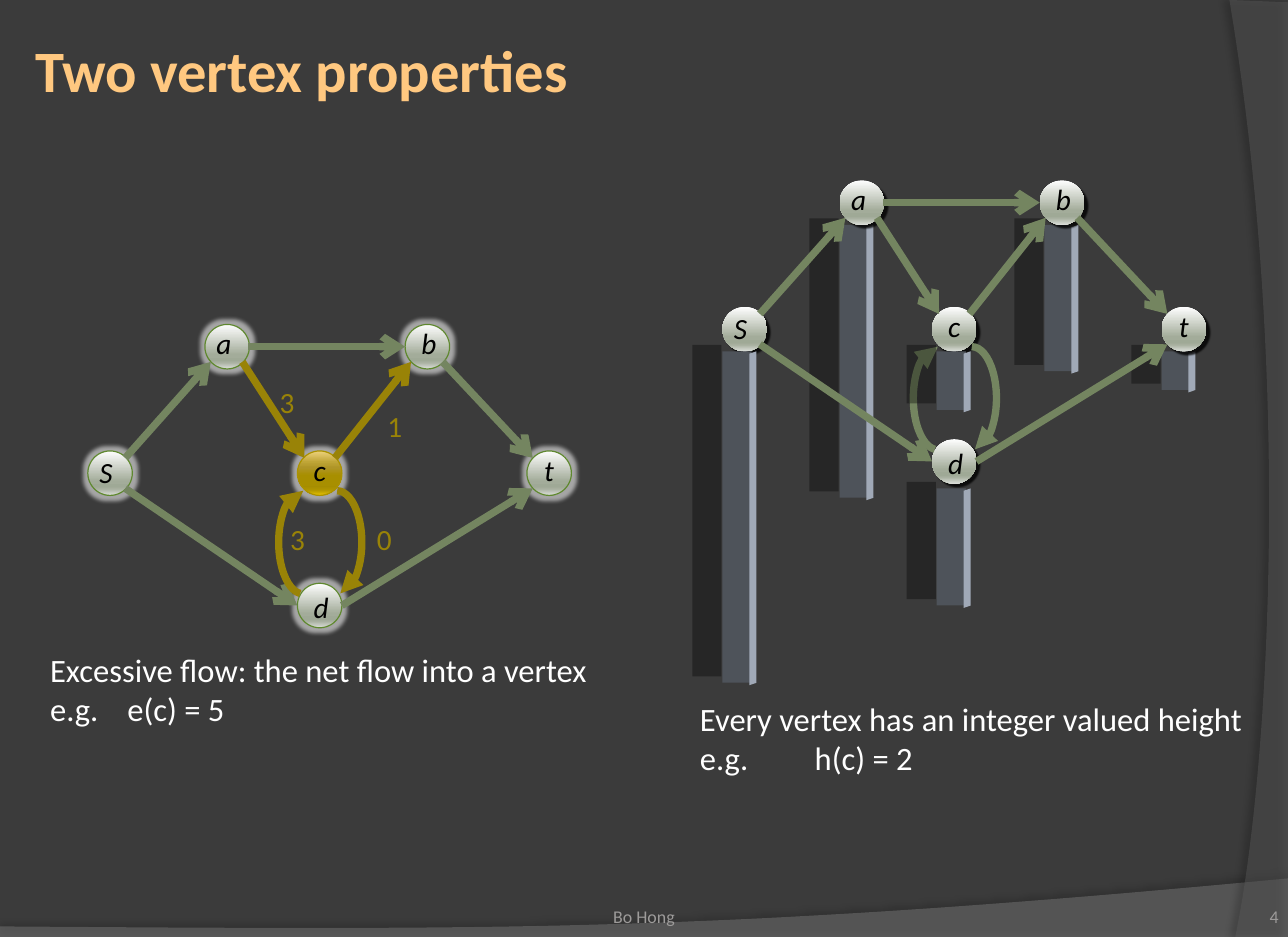
from lxml import etree
from pptx import Presentation
from pptx.dml.color import RGBColor
from pptx.enum.shapes import MSO_CONNECTOR, MSO_SHAPE
from pptx.enum.text import MSO_ANCHOR, PP_ALIGN
from pptx.oxml.ns import qn
from pptx.util import Inches, Pt

ELLIPSE, ARC, RECTANGLE = MSO_SHAPE.OVAL, MSO_SHAPE.ARC, MSO_SHAPE.RECTANGLE
STRAIGHT = MSO_CONNECTOR.STRAIGHT
LEFT, CENTER, RIGHT = PP_ALIGN.LEFT, PP_ALIGN.CENTER, PP_ALIGN.RIGHT
TOP, MIDDLE, BOTTOM = MSO_ANCHOR.TOP, MSO_ANCHOR.MIDDLE, MSO_ANCHOR.BOTTOM

BACKGROUND = RGBColor(0x3B, 0x3B, 0x3B)
WHITE = RGBColor(0xFF, 0xFF, 0xFF)
BLACK = RGBColor(0, 0, 0)
PEACH = RGBColor(0xFF, 0xC8, 0x80)
GRAY = RGBColor(0x9D, 0x9B, 0x9A)
GREEN = RGBColor(0x74, 0x85, 0x60)
GOLD = RGBColor(0x99, 0x83, 0x07)
RIM = RGBColor(0x5F, 0x88, 0x2F)
GOLD_RIM = RGBColor(0xAB, 0x92, 0x00)
BAR = RGBColor(0x4E, 0x53, 0x5A)
BAR_SIDE = RGBColor(0xA0, 0xA9, 0xB7)
SWEEP = RGBColor(0x7F, 0x7F, 0x7F)
SIDE_SWEEP = RGBColor(0x5E, 0x5E, 0x5E)

SILVER_STOPS = [(0, "FEFEFE"), (68, "A3AC9A"), (81, "9FA996"), (86, "A9B1A1"), (100, "DBDED9")]
GOLD_STOPS = [(0, "EED27E"), (25, "BFA536"), (38, "AF9527"), (55, "A88F00"),
              (80, "A68D00"), (88, "AF9500"), (100, "E6C100")]

# Vertex: circle left and top, label shift, height of its bar, shift of the bar
VERTICES = {
    "S": (0.75, 3.85, 0, -0.02, 2.83, 0, 0),
    "t": (4.5, 3.85, 0.05, -0.04, 0.33, 0, 0),
    "a": (1.75, 2.77, 0, -0.04, 2.33, 0, 0),
    "d": (2.54, 4.98, 0.04, 0, 1, 0.04, 0.04),
    "b": (3.46, 2.77, 0.04, -0.04, 1.25, 0.04, 0),
    "c": (2.54, 3.85, 0.04, -0.04, 0.5, 0.04, 0),
}
# Edge: start, end, touches vertex c
EDGES = [
    ((1.07, 3.91), (1.8, 3.09), False),
    ((2.07, 3.09), (2.6, 3.91), True),
    ((1.07, 4.17), (2.54, 5.17), False),
    ((3.78, 3.09), (4.55, 3.91), False),
    ((2.86, 3.91), (3.51, 3.09), True),
    ((2.92, 5.17), (4.55, 4.17), False),
    ((2.12, 2.96), (3.46, 2.96), False),
]
FLOWS = [("3", 2.29, 3.23), ("1", 3.21, 3.44), ("0", 3.12, 4.4), ("3", 2.38, 4.4)]
DIAMETER = 0.38
HEIGHT_SHIFT = (5.42, -1.23)


def curve(start, first, second, end, steps=40):
    """Points of a cubic curve after its start."""
    points = []
    for step in range(1, steps + 1):
        t = step / steps
        weights = ((1 - t) ** 3, 3 * t * (1 - t) ** 2, 3 * t * t * (1 - t), t ** 3)
        points.append(tuple(sum(w * p[axis] for w, p in zip(weights, (start, first, second, end)))
                            for axis in (0, 1)))
    return points


def add_xml(parent, tag, **attributes):
    return etree.SubElement(parent, qn(tag), {key: str(value) for key, value in attributes.items()})


class SlideBuilder:
    font = "Calibri"

    def __init__(self, page):
        self.page = page
        self.target = page.shapes

    def fill_text(self, frame, lines, size, color, align=LEFT, anchor=TOP, tab=None,
                  margins=None, wrap=False, **style):
        frame.word_wrap = wrap
        frame.vertical_anchor = anchor
        for side, margin in (margins or {}).items():
            setattr(frame, "margin_" + side, Inches(margin))
        for index, line in enumerate(lines):
            para = frame.paragraphs[0] if index == 0 else frame.add_paragraph()
            para.alignment = align
            if tab:
                stops = add_xml(para._p.get_or_add_pPr(), "a:tabLst")
                add_xml(stops, "a:tab", pos=Inches(tab), algn="l")
            span = para.add_run()
            span.text = line
            for name, value in {"name": self.font, "size": Pt(size), **style}.items():
                setattr(span.font, name, value)
            span.font.color.rgb = color

    def text(self, at, lines, size, color, **style):
        box = self.target.add_textbox(*map(Inches, at))
        self.fill_text(box.text_frame, lines, size, color, **style)

    def title(self, at, words):
        box = self.page.shapes.title
        for name, value in zip(("left", "top", "width", "height"), at):
            setattr(box, name, Inches(value))
        self.fill_text(box.text_frame, [words], 36, PEACH, anchor=MIDDLE, bold=True, wrap=True,
                       margins=dict.fromkeys(("left", "top", "right", "bottom"), 0.05))

    def effect(self, shape, tag, color, opacity, **attributes):
        shape.shadow.inherit = False
        effects = shape._element.spPr.find(qn("a:effectLst"))
        paint = add_xml(add_xml(effects, tag, **attributes), "a:srgbClr", val=color)
        add_xml(paint, "a:alpha", val=opacity * 1000)

    def shadow(self, shape, opacity, blur, distance, angle):
        self.effect(shape, "a:outerShdw", BLACK, opacity, blurRad=Pt(blur), dist=Pt(distance),
                    dir=angle * 60000, algn="ctr", rotWithShape=0)

    def outline(self, points, color, opacity=100):
        builder = self.target.build_freeform(*map(Inches, points[0]))
        builder.add_line_segments([tuple(map(Inches, point)) for point in points[1:]])
        shape = builder.convert_to_shape()
        shape.shadow.inherit = False
        shape.line.fill.background()
        shape.fill.solid()
        shape.fill.fore_color.rgb = color
        paint = shape._element.spPr.find(qn("a:solidFill"))[0]
        add_xml(paint, "a:alpha", val=opacity * 1000)
        return shape

    def vertex(self, name, left, top, label_x, label_y, stops, rim=None):
        circle = self.target.add_shape(ELLIPSE, *map(Inches, (left, top, DIAMETER, DIAMETER)))
        circle.fill.background()
        blank = circle._element.spPr.find(qn("a:noFill"))
        gradient = etree.Element(qn("a:gradFill"), rotWithShape="1")
        blank.getparent().replace(blank, gradient)
        stop_list = add_xml(gradient, "a:gsLst")
        for position, color in stops:
            add_xml(add_xml(stop_list, "a:gs", pos=position * 1000), "a:srgbClr", val=color)
        add_xml(gradient, "a:lin", ang=5400000, scaled=0)
        if rim:
            circle.line.color.rgb = rim
            circle.line.width = Pt(0.75)
            self.effect(circle, "a:glow", WHITE, 55, rad=Pt(5))
        else:
            circle.line.fill.background()
            self.shadow(circle, 80, 1, 3, 45)
        self.text((left + label_x, top + label_y, 0.33, 0.4), [name], 18, BLACK, italic=True)

    def stroke(self, shape, color, end, head):
        shape.line.color.rgb = color
        shape.line.width = Pt(4.5)
        add_xml(shape.line._get_or_add_ln(), end, type=head)

    def arrow(self, start, end, color):
        line = self.target.add_connector(STRAIGHT, *map(Inches, (*start, *end)))
        self.stroke(line, color, "a:tailEnd", "arrow")
        add_xml(line._element.spPr, "a:effectLst")

    def arc(self, left, top, color, flipped):
        bend = self.target.add_shape(ARC, *map(Inches, (left, top, 0.42, 0.88)))
        bend.shadow.inherit = False
        bend.adjustments[0], bend.adjustments[1] = 162, 51.932
        bend.fill.background()
        if flipped:
            bend._element.spPr.find(qn("a:xfrm")).set("flipH", "1")
        self.stroke(bend, color, "a:headEnd" if flipped else "a:tailEnd", "triangle")

    def bars(self, names, shift):
        for name in names:
            left, top, _, _, height, bar_x, bar_y = VERTICES[name]
            x, y = left + shift[0] + bar_x, top + shift[1] + DIAMETER + bar_y
            bar = self.target.add_shape(RECTANGLE, *map(Inches, (x, y, 0.25, height)))
            bar.fill.solid()
            bar.fill.fore_color.rgb = BAR
            bar.line.fill.background()
            self.shadow(bar, 35, 0, 19, 192)
            self.outline([(x + 0.23, y + 0.02), (x + 0.29, y), (x + 0.29, y + height),
                          (x + 0.23, y + height + 0.02)], BAR_SIDE)

    def graph(self, shift=(0, 0), highlight=False):
        dx, dy = shift
        for name, (left, top, label_x, label_y, *_) in VERTICES.items():
            golden = highlight and name == "c"
            rim = (GOLD_RIM if golden else RIM) if highlight else None
            self.vertex(name, left + dx, top + dy, label_x, label_y,
                        GOLD_STOPS if golden else SILVER_STOPS, rim)
        for (x1, y1), (x2, y2), at_c in EDGES:
            self.arrow((x1 + dx, y1 + dy), (x2 + dx, y2 + dy),
                       GOLD if highlight and at_c else GREEN)
        for left, flipped in ((2.67, False), (2.38, True)):
            self.arc(left + dx, 4.19 + dy, GOLD if highlight else GREEN, flipped)

    def start_group(self):
        self.target = self.page.shapes.add_group_shape().shapes

    def end_group(self):
        self.target = self.page.shapes


def main():
    deck = Presentation()
    deck.slide_width, deck.slide_height = Inches(11), Inches(8)
    page = deck.slides.add_slide(deck.slide_layouts[5])
    page.background.fill.solid()
    page.background.fill.fore_color.rgb = BACKGROUND
    slide = SlideBuilder(page)

    # Background sweeps
    floor = [(0, 7.91), (0, 8), (11, 8), (11, 7.5)]
    floor += curve((11, 7.5), (6.15, 7.96), (4.3, 7.94), (0, 7.91))
    slide.shadow(slide.outline(floor, SWEEP, 45), 35, 4, 3.5, 270)
    side = [(11, 0.02), (11, 8), (10.55, 8)]
    side += curve((10.55, 8), (10.84, 6.6), (11.04, 3.2), (10.5, 0))
    slide.shadow(slide.outline(side, SIDE_SWEEP, 40), 45, 4, 4, 180)

    # Title and footer
    slide.title((0.25, 0.25, 10.58, 0.68), "Two vertex properties")
    flush = dict.fromkeys(("left", "top", "right", "bottom"), 0)
    slide.text((10, 7.49, 0.92, 0.43), ["4"], 11, GRAY, align=RIGHT, anchor=BOTTOM,
               margins=flush, wrap=True)
    slide.text((3.76, 7.49, 3.48, 0.43), ["Bo Hong"], 11, GRAY, align=CENTER, anchor=BOTTOM,
               margins=flush, wrap=True)

    # Flow graph
    slide.start_group()
    slide.graph(highlight=True)
    for flow, left, top in FLOWS:
        slide.text((left, top, 0.33, 0.4), [flow], 18, GOLD)
    slide.end_group()
    slide.text((0.33, 5.5, 5, 0.77), ["Excessive flow: the net flow into a vertex", "e.g.\te(c) = 5"],
               20, WHITE, tab=0.66, wrap=True)

    # Height graph
    slide.start_group()
    slide.bars("bta", HEIGHT_SHIFT)
    slide.graph(HEIGHT_SHIFT)
    slide.bars("Scd", HEIGHT_SHIFT)
    slide.end_group()
    slide.text((5.88, 5.92, 5, 0.77), ["Every vertex has an integer valued height", "e.g.\th(c) = 2"],
               20, WHITE, tab=0.98, wrap=True)

    deck.save("out.pptx")


if __name__ == "__main__":
    main()
